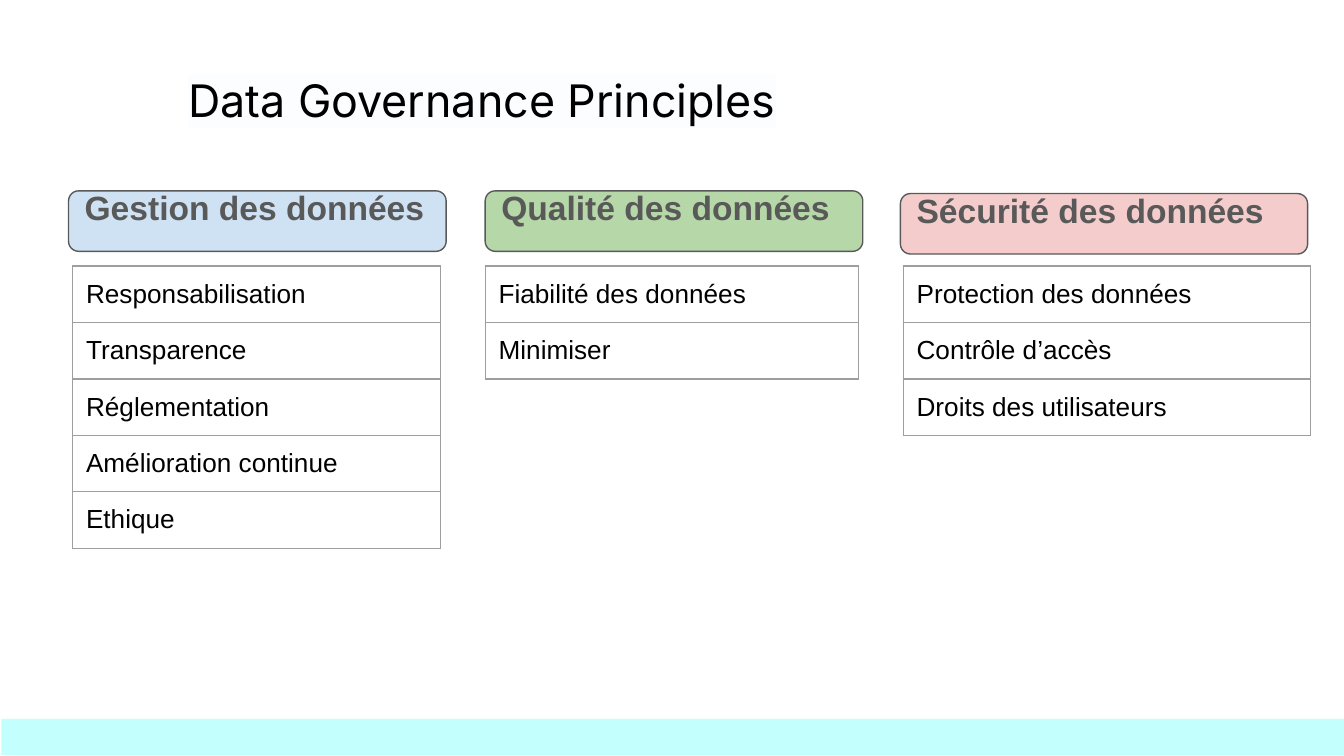
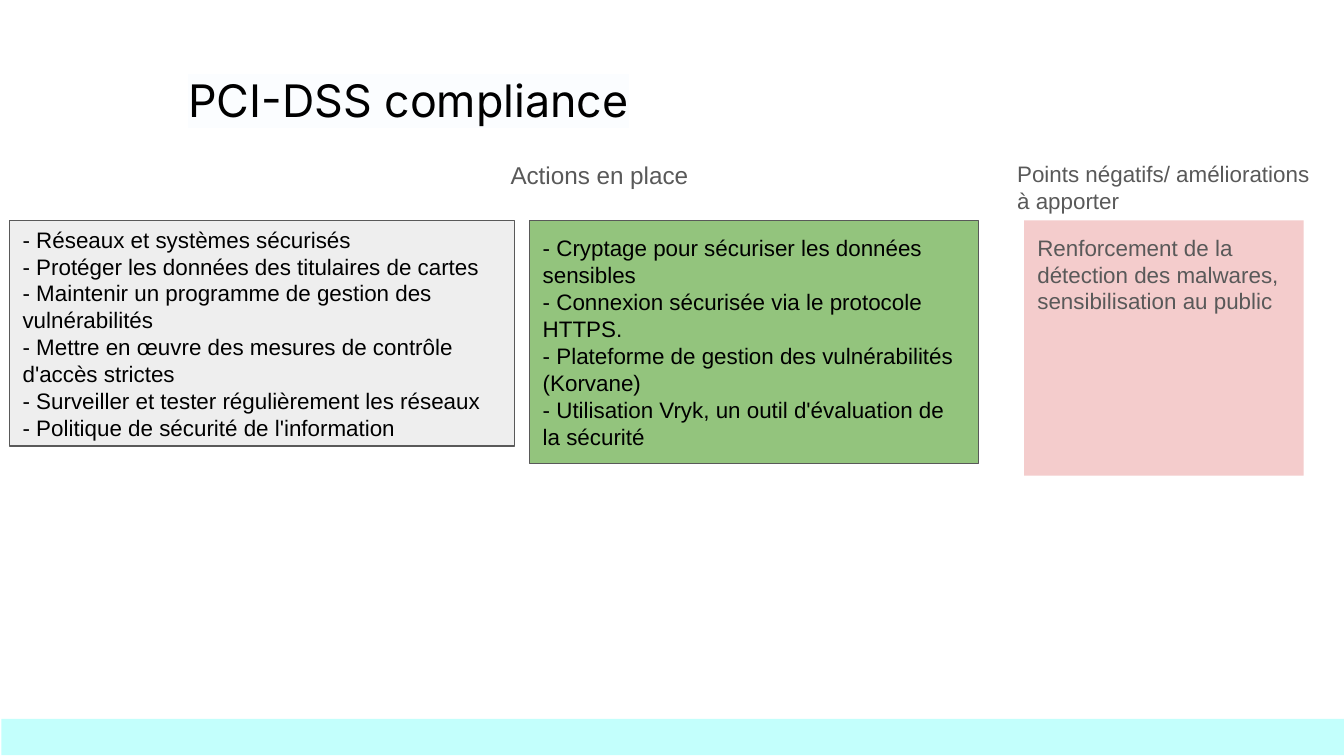
"""Build two slides on data governance principles and PCI-DSS compliance."""
from dataclasses import dataclass

from lxml.etree import SubElement
from pptx import Presentation
from pptx.dml.color import RGBColor as RGB
from pptx.enum.shapes import MSO_SHAPE as Shape
from pptx.enum.text import MSO_ANCHOR as Anchor, MSO_AUTO_SIZE as AutoSize, PP_ALIGN as Align
from pptx.oxml.ns import qn
from pptx.util import Inches, Pt


@dataclass(frozen=True)
class Theme:
    title_font: str = "Inter"
    body_font: str = "Arial"
    black: str = "000000"
    grey: str = "595959"
    border: str = "9E9E9E"
    highlight: str = "FBFDFF"
    band: str = "C3FFFC"
    blue: str = "CFE2F3"
    light_green: str = "B6D7A8"
    green: str = "93C47D"
    pink: str = "F4CCCC"
    pale: str = "EEEEEE"
    title_size: int = 24
    heading_size: int = 18
    item_size: int = 14
    label_size: int = 13
    text_size: int = 12
    line_width: float = 0.75
    inset: float = 0.1


theme = Theme()


def write(frame, lines, size, color, font=theme.body_font, bold=False):
    """Fill a text frame with left-aligned paragraphs."""
    frame.word_wrap = True
    frame.margin_left = frame.margin_right = Inches(theme.inset)
    frame.margin_top = frame.margin_bottom = Inches(theme.inset)
    for index, line in enumerate(lines):
        paragraph = frame.add_paragraph() if index else frame.paragraphs[0]
        paragraph.alignment = Align.LEFT
        run = paragraph.add_run()
        run.text = line
        run.font.size = Pt(size)
        run.font.name = font
        run.font.bold = bold
        run.font.color.rgb = RGB.from_string(color)


def add_panel(slide, kind, box, fill, outlined=True):
    """Add a flat filled shape with an optional grey outline."""
    panel = slide.shapes.add_shape(kind, *map(Inches, box))
    panel.shadow.inherit = False
    panel.fill.solid()
    panel.fill.fore_color.rgb = RGB.from_string(fill)
    if outlined:
        panel.line.color.rgb = RGB.from_string(theme.grey)
        panel.line.width = Pt(theme.line_width)
    else:
        panel.line.fill.background()
    return panel


prs = Presentation()
prs.slide_width = Inches(10)
prs.slide_height = prs.slide_width * 9 // 16

slides = []
for heading in ("Data Governance Principles", "PCI-DSS compliance"):
    slide = prs.slides.add_slide(prs.slide_layouts[5])
    title = slide.shapes.title
    title.left, title.top, title.width, title.height = map(Inches, (1.3, 0.44, 5.81, 0.58))
    write(title.text_frame, [heading], theme.title_size, theme.black, theme.title_font)
    title.text_frame.vertical_anchor = Anchor.TOP
    title.text_frame.auto_size = AutoSize.NONE
    run_props = title.text_frame.paragraphs[0].runs[0]._r.get_or_add_rPr()
    highlight = SubElement(run_props, qn("a:highlight"))
    SubElement(highlight, qn("a:srgbClr"), val=theme.highlight)
    run_props.find(qn("a:solidFill")).addnext(highlight)
    add_panel(slide, Shape.RECTANGLE, (0.01, 5.35, 10, 0.27), theme.band, outlined=False)
    slides.append(slide)
governance, compliance = slides

principles = [
    ("Gestion des données", theme.blue, (0.51, 1.42, 2.81), (0.54, 2.74),
     ["Responsabilisation", "Transparence", "Réglementation", "Amélioration continue", "Ethique"]),
    ("Qualité des données", theme.light_green, (3.61, 1.42, 2.81), (3.61, 2.78),
     ["Fiabilité des données", "Minimiser"]),
    ("Sécurité des données", theme.pink, (6.7, 1.44, 3.03), (6.72, 3.03),
     ["Protection des données", "Contrôle d’accès", "Droits des utilisateurs"]),
]
row_height = 0.42
for heading, fill, header_box, (left, width), items in principles:
    header = add_panel(governance, Shape.FLOWCHART_ALTERNATE_PROCESS, (*header_box, 0.45), fill)
    write(header.text_frame, [heading], theme.heading_size, theme.grey, bold=True)
    header.text_frame.vertical_anchor = Anchor.MIDDLE
    header.text_frame.margin_top, header.text_frame.margin_bottom = 0, Inches(0.21)

    table = governance.shapes.add_table(
        len(items), 1, Inches(left), Inches(1.98), Inches(width), Inches(row_height * len(items))).table
    table.first_row = table.horz_banding = False
    for row, item in enumerate(items):
        table.rows[row].height = Inches(row_height)
        cell = table.cell(row, 0)
        write(cell.text_frame, [item], theme.item_size, theme.black)
        cell.margin_left = cell.margin_right = Inches(theme.inset)
        cell.margin_top = cell.margin_bottom = Inches(theme.inset)
        cell_props = cell._tc.get_or_add_tcPr()
        for side in ("lnL", "lnR", "lnT", "lnB"):
            edge = SubElement(cell_props, qn(f"a:{side}"), w=str(Pt(theme.line_width)))
            SubElement(SubElement(edge, qn("a:solidFill")), qn("a:srgbClr"), val=theme.border)
        cell.fill.background()
        cell_props.append(cell_props.find(qn("a:noFill")))

measures = [
    ((0.07, 1.64, 3.76, 1.68), theme.pale, theme.black, Anchor.MIDDLE, True,
     ["- Réseaux et systèmes sécurisés",
      "- Protéger les données des titulaires de cartes",
      "- Maintenir un programme de gestion des vulnérabilités",
      "- Mettre en œuvre des mesures de contrôle d'accès strictes",
      "- Surveiller et tester régulièrement les réseaux",
      "- Politique de sécurité de l'information"]),
    ((3.94, 1.64, 3.34, 1.81), theme.green, theme.black, Anchor.MIDDLE, True,
     ["- Cryptage pour sécuriser les données sensibles",
      "- Connexion sécurisée via le protocole HTTPS.",
      "- Plateforme de gestion des vulnérabilités (Korvane)",
      "- Utilisation Vryk, un outil d'évaluation de la sécurité"]),
    ((7.62, 1.64, 2.08, 1.9), theme.pink, theme.grey, Anchor.TOP, False,
     ["Renforcement de la détection des malwares, sensibilisation au public"]),
]
for box, fill, color, anchor, outlined, lines in measures:
    panel = add_panel(compliance, Shape.RECTANGLE, box, fill, outlined)
    write(panel.text_frame, lines, theme.text_size, color)
    panel.text_frame.vertical_anchor = anchor

labels = [
    ("Actions en place", 3.7, 2.59, theme.label_size),
    ("Points négatifs/ améliorations à apporter", 7.47, 2.46, theme.text_size),
]
for caption, left, width, size in labels:
    label = compliance.shapes.add_textbox(Inches(left), Inches(1.12), Inches(width), Inches(0.17))
    write(label.text_frame, [caption], size, theme.grey)
    label.text_frame.vertical_anchor = Anchor.TOP

prs.save("out.pptx")
